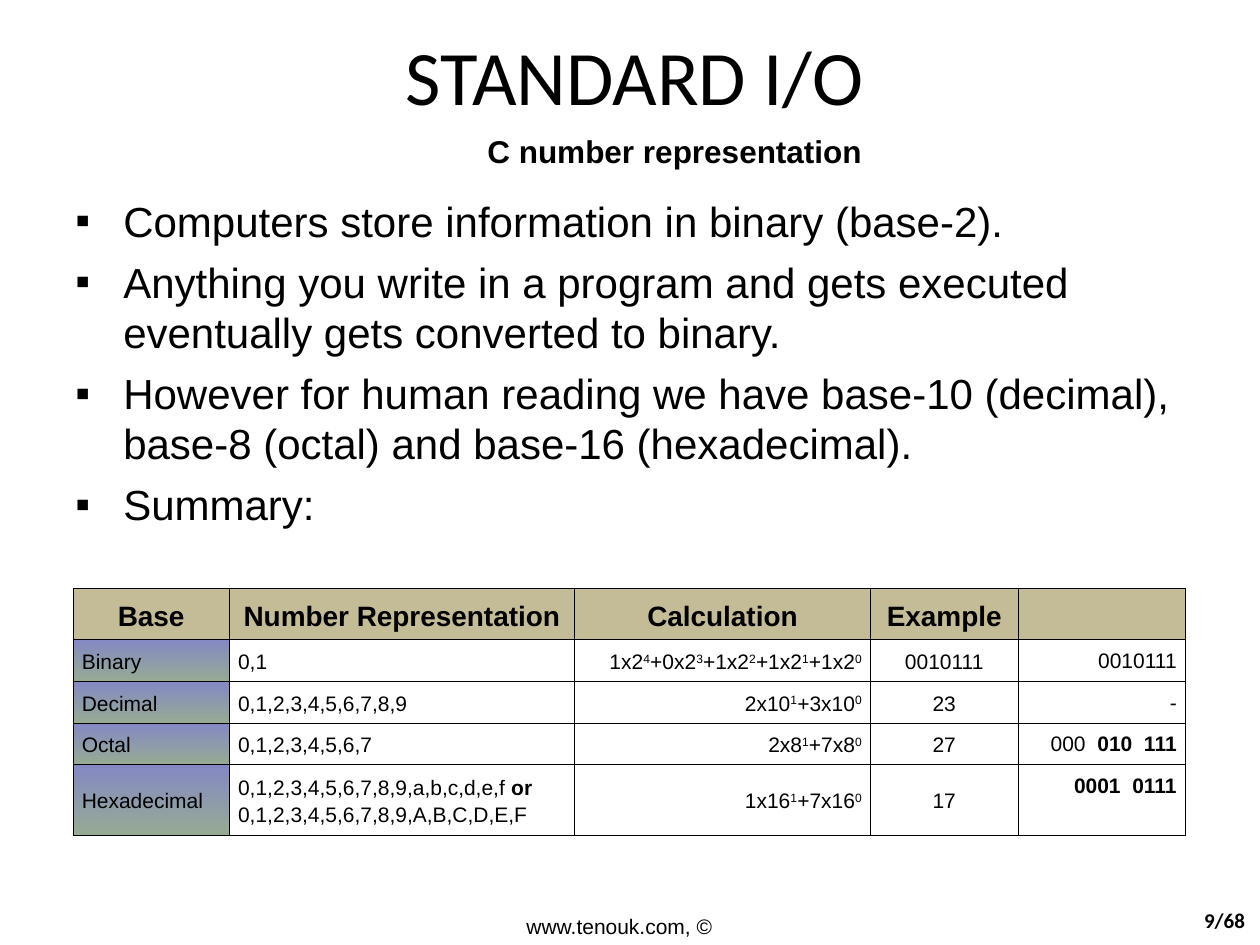
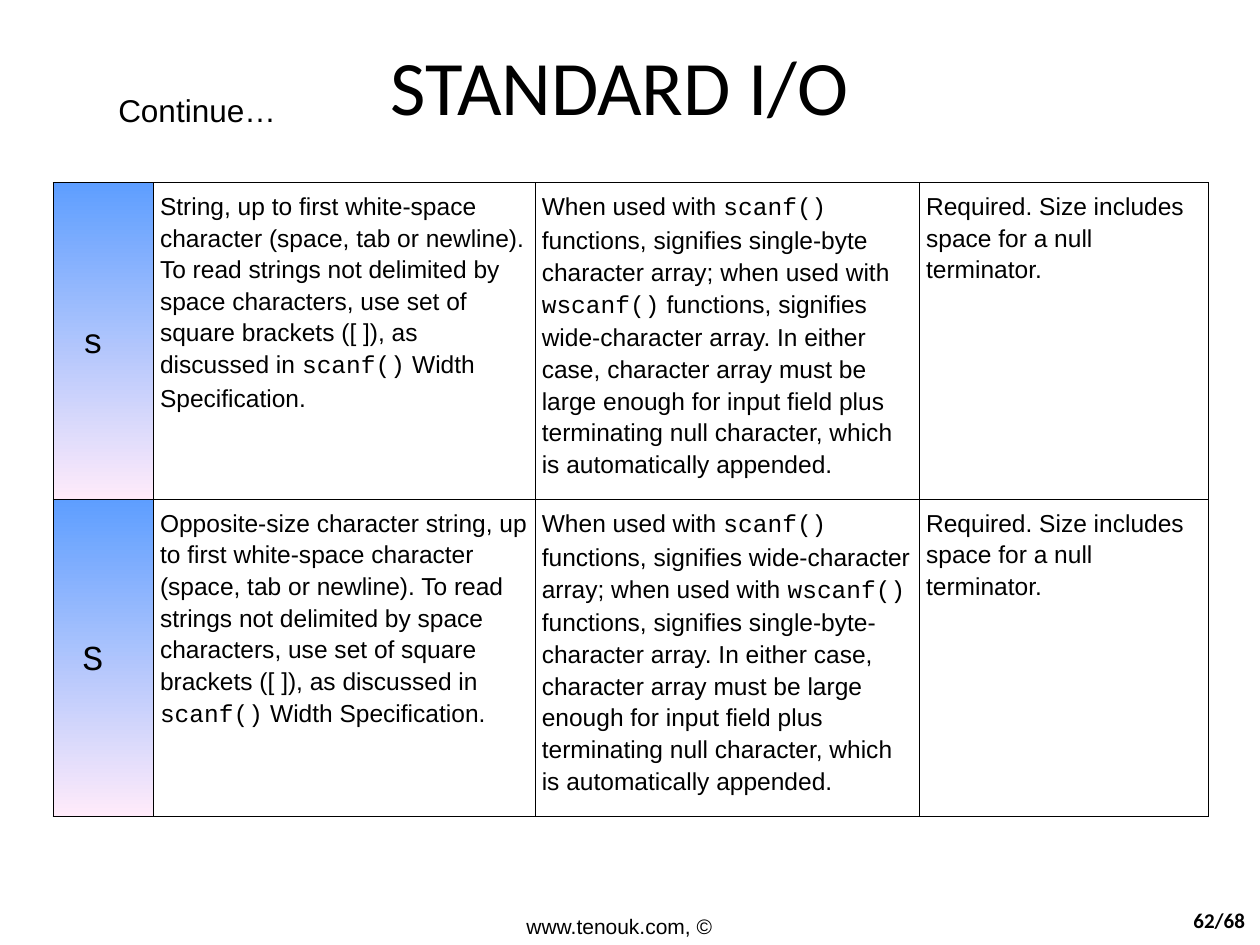
from pptx import Presentation
from pptx import util as u
from pptx.dml import color
from pptx.enum import text as t
from pptx.oxml import parse_xml
from pptx.oxml import ns

BLACK = "000000"
TAN = "C4BC96"
DUSK = ("8488C4", "96AB94")
SKY = ("5E9EFF", "FFEBFA")
LEFT, MID, RIGHT = t.PP_ALIGN.LEFT, t.PP_ALIGN.CENTER, t.PP_ALIGN.RIGHT
TOP, CENTRE = t.MSO_ANCHOR.TOP, t.MSO_ANCHOR.MIDDLE

# Inline marks: text between two of them takes the format
MARKS = {"^": {"raised": True}, "*": {"bold": True}, "`": {"name": "Courier New"}}

POINTS = [
    "Computers store information in binary (base-2).",
    "Anything you write in a program and gets executed eventually gets converted to binary.",
    "However for human reading we have base-10 (decimal), base-8 (octal) and base-16 (hexadecimal).",
    "Summary:",
]
HEADS = ["Base", "Number Representation", "Calculation", "Example", ""]
BASES = [
    ["Binary", "0,1", "1x2^4^+0x2^3^+1x2^2^+1x2^1^+1x2^0^", "0010111", "0010111"],
    ["Decimal", "0,1,2,3,4,5,6,7,8,9", "2x10^1^+3x10^0^", "23", "-"],
    ["Octal", "0,1,2,3,4,5,6,7", "2x8^1^+7x8^0^", "27", "000  *010  111*"],
    ["Hexadecimal", "0,1,2,3,4,5,6,7,8,9,a,b,c,d,e,f *or*\n0,1,2,3,4,5,6,7,8,9,A,B,C,D,E,F",
     "1x16^1^+7x16^0^", "17", "*0001  0111*"],
]

STRING = ("{}, up to first white-space character (space, tab or newline). To read strings not "
          "delimited by space characters, use set of square brackets ([ ]), as discussed in "
          "`scanf()` Width Specification.")
USAGE = ("When used with `scanf()` functions, signifies {} array; when used with `wscanf()` "
         "functions, signifies {} array. In either case, character array must be large enough for "
         "input field plus terminating null character, which is automatically appended.")
SIZE = "Required. Size includes space for a null terminator."
TYPES = [
    ["`s `", STRING.format("String"), USAGE.format("single-byte character", "wide-character"), SIZE],
    ["`S `", STRING.format("Opposite-size character string"),
     USAGE.format("wide-character", "single-byte-character"), SIZE],
]


def rgb(code):
    return color.RGBColor.from_string(code)


def style(item, **vals):
    for key, val in vals.items():
        setattr(item, key, val)


def add_run(par, words, size, name="Arial", bold=False, raised=False):
    run = par.add_run()
    run.text = words
    style(run.font, size=u.Pt(size), name=name, bold=bold)
    run.font.color.rgb = rgb(BLACK)
    if raised:
        run._r.get_or_add_rPr().set("baseline", "30000")


def write(frame, words, font, **form):
    """Fill a frame, one paragraph a line, with marked words formatted."""
    for num, line in enumerate(words.split("\n")):
        par = frame.paragraphs[0] if num == 0 else frame.add_paragraph()
        style(par, **form)
        mark = next((m for m in MARKS if m in line), "\n")
        for pos, part in enumerate(line.split(mark)):
            if part:
                add_run(par, part, **{**font, **(MARKS[mark] if pos % 2 else {})})
        if not line:
            par.font.size = u.Pt(font["size"])


def place(shape, box):
    for key, val in zip(("left", "top", "width", "height"), box):
        setattr(shape, key, u.Inches(val))


def add_title(slide, box):
    head = slide.shapes.title
    place(head, box)
    style(head.text_frame, vertical_anchor=CENTRE, word_wrap=True)
    write(head.text_frame, "STANDARD I/O", {"size": 44, "name": "Calibri"}, alignment=MID)


def add_label(slide, box, words, font, wrap=True, anchor=TOP, align=LEFT):
    frame = slide.shapes.add_textbox(*map(u.Inches, box)).text_frame
    style(frame, word_wrap=wrap, vertical_anchor=anchor)
    write(frame, words, font, alignment=align)


def add_list(slide, box, items):
    frame = slide.shapes.add_textbox(*map(u.Inches, box)).text_frame
    frame.word_wrap = True
    write(frame, "\n".join(items), {"size": 24})
    for num, par in enumerate(frame.paragraphs):
        props = par._p.get_or_add_pPr()
        style(par, space_before=u.Pt(6 if num else 0))
        props.set("marL", str(u.Inches(0.38)))
        props.set("indent", str(-u.Inches(0.38)))
        for tag in (f'<a:buClr {ns.nsdecls("a")}><a:srgbClr val="{BLACK}"/></a:buClr>',
                    f'<a:buFont {ns.nsdecls("a")} typeface="Arial"/>',
                    f'<a:buChar {ns.nsdecls("a")} char="▪"/>'):
            props.append(parse_xml(tag))


def add_edges(cell):
    props = cell._tc.get_or_add_tcPr()
    for side in "LRTB":
        props.append(parse_xml(
            f'<a:ln{side} {ns.nsdecls("a")} w="{u.Pt(0.45)}"><a:solidFill>'
            f'<a:srgbClr val="{BLACK}"/></a:solidFill></a:ln{side}>'))


def paint(cell, tint):
    """Fill with one colour, a downward blend of two, or nothing."""
    if tint is None:
        cell.fill.background()
    elif isinstance(tint, str):
        cell.fill.solid()
        cell.fill.fore_color.rgb = rgb(tint)
    else:
        cell.fill.gradient()
        cell.fill.gradient_angle = 270
        for stop, code in zip(cell.fill.gradient_stops, tint):
            stop.color.rgb = rgb(code)


def add_grid(slide, spot, cols, rows, pad):
    size = (sum(cols), sum(rows))
    grid = slide.shapes.add_table(len(rows), len(cols), *map(u.Inches, spot + size)).table
    style(grid, first_row=False, horz_banding=False)
    for col, wide in zip(grid.columns, cols):
        col.width = u.Inches(wide)
    for row, high in zip(grid.rows, rows):
        row.height = u.Inches(high)
    for cell in grid.iter_cells():
        style(cell, margin_left=u.Inches(pad), margin_right=u.Inches(pad),
              margin_top=u.Inches(0.05), margin_bottom=u.Inches(0.05))
        add_edges(cell)
    return grid


def set_cell(cell, words, font, align=LEFT, anchor=CENTRE, tint=None, after=0):
    cell.vertical_anchor = anchor
    paint(cell, tint)
    write(cell.text_frame, words, font, alignment=align, line_spacing=1.15,
          space_after=u.Pt(after))


def add_foot(slide, page):
    add_label(slide, (4.08, 7.2, 1.75, 0.3), "www.tenouk.com, ©", {"size": 12})
    add_label(slide, (9.25, 7.1, 0.73, 0.4), f"{page}/68",
              {"size": 12, "name": "Calibri", "bold": True}, anchor=CENTRE, align=RIGHT)


def add_bases(slide):
    grid = add_grid(slide, (0.58, 4.67), (1.24, 2.74, 2.35, 1.17, 1.33),
                    (0.31, 0.23, 0.23, 0.23, 0.46), 0.07)
    for col, words in enumerate(HEADS):
        set_cell(grid.cell(0, col), words, {"size": 16, "bold": True}, MID, tint=TAN)
    forms = [(LEFT, CENTRE, DUSK), (LEFT, CENTRE), (RIGHT, CENTRE), (MID, CENTRE), (RIGHT, TOP)]
    for row, line in enumerate(BASES, 1):
        for col, words in enumerate(line):
            set_cell(grid.cell(row, col), words, {"size": 12}, *forms[col])


def add_types(slide):
    grid = add_grid(slide, (0.42, 1.45), (0.8, 3.03, 3.05, 2.29), (2.41, 2.41), 0.05)
    for row, line in enumerate(TYPES):
        for col, words in enumerate(line):
            form = (LEFT, TOP) if col else (MID, CENTRE, SKY)
            set_cell(grid.cell(row, col), words, {"size": 14 if col else 20}, *form, after=10)


def main():
    deck = Presentation()
    style(deck, slide_width=u.Inches(10), slide_height=u.Inches(7.5))
    plain = deck.slide_layouts[5]

    # Number bases
    slide = deck.slides.add_slide(plain)
    add_list(slide, (0.5, 1.5, 8.92, 2.75), POINTS)
    add_title(slide, (1.75, 0.17, 6.58, 0.84))
    add_label(slide, (3.77, 1, 3.17, 0.4), "C number representation",
              {"size": 18, "bold": True}, wrap=False)
    add_bases(slide)
    add_foot(slide, 9)

    # String type characters
    slide = deck.slides.add_slide(plain)
    add_title(slide, (1.67, 0.25, 6.5, 0.84))
    add_label(slide, (0.84, 0.67, 1.45, 0.4), "Continue…", {"size": 18}, wrap=False)
    add_types(slide)
    add_foot(slide, 62)

    deck.save("out.pptx")


if __name__ == "__main__":
    main()
